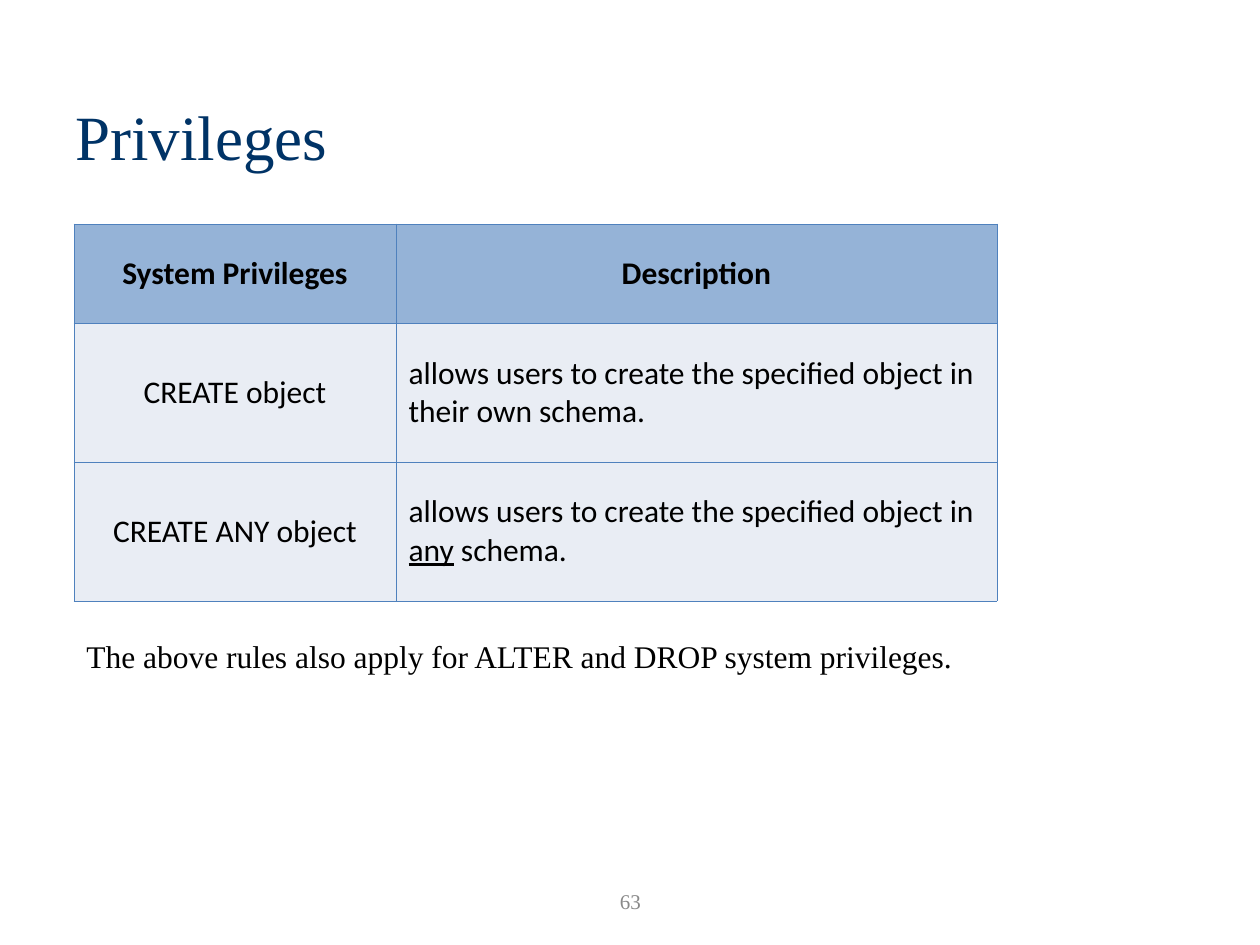
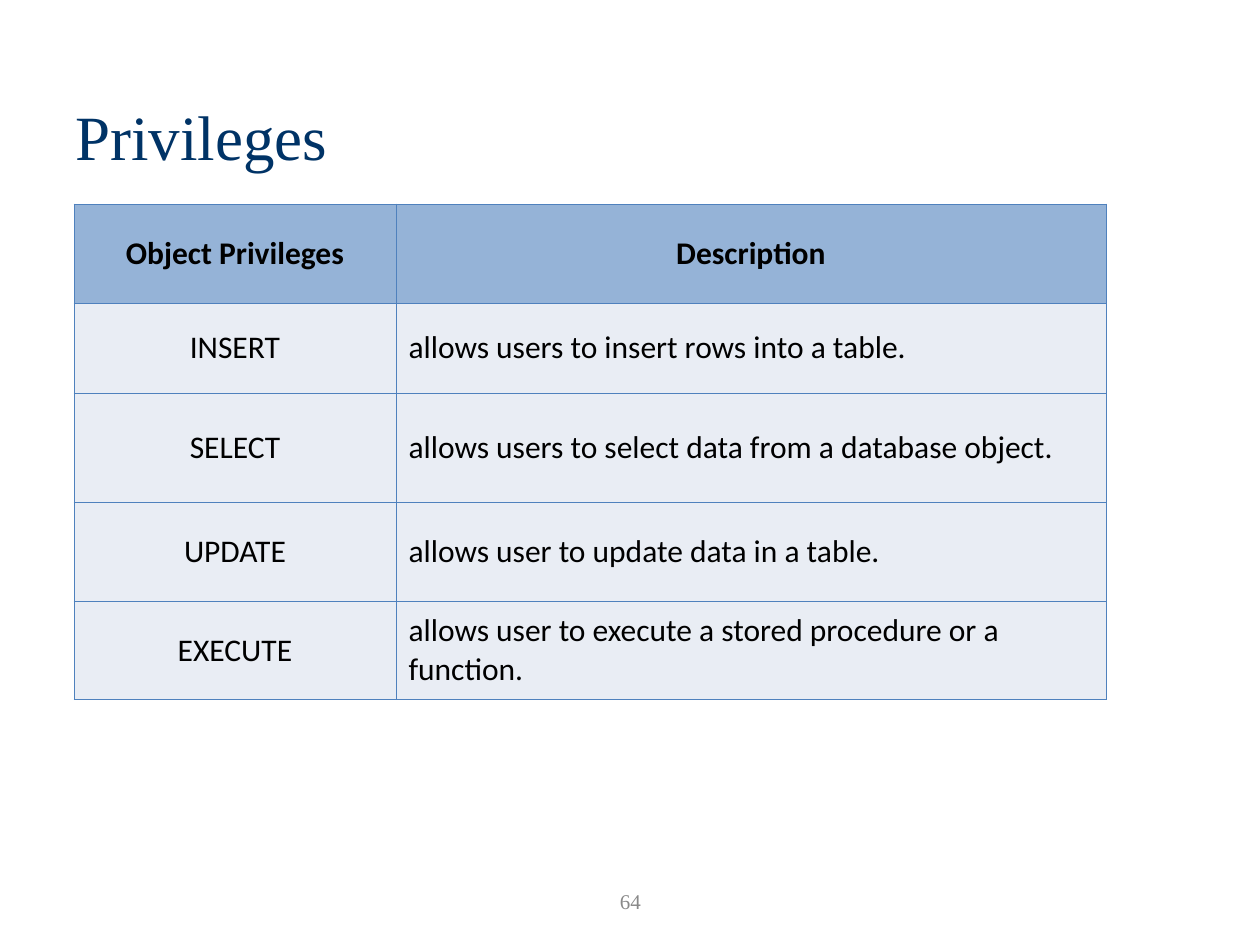
from lxml.etree import SubElement
from pptx import Presentation
from pptx.dml.color import RGBColor
from pptx.enum.text import MSO_ANCHOR, PP_ALIGN
from pptx.oxml.ns import qn
from pptx.util import Pt

PX = 7257  # EMU per px, 126 px to the inch
SERIF, SANS = "Times New Roman", "Calibri"
NAVY, BLACK, GREY = "003366", "000000", "898989"
HEAD, BODY, EDGE = "95B3D7", "E9EDF4", "4F81BD"
LEFT, MID = PP_ALIGN.LEFT, PP_ALIGN.CENTER
hue = RGBColor.from_string


def write(frame, text, size=18, font=SERIF, color=BLACK, bold=False, align=LEFT):
    """Fill a text frame; words between underscores are underlined."""
    para = frame.paragraphs[0]
    para.alignment = align
    for i, part in enumerate(text.split("_")):
        run = para.add_run()
        run.text = part
        run.font.size = Pt(size)
        run.font.name = font
        run.font.bold = bold
        run.font.underline = i % 2 == 1
        run.font.color.rgb = hue(color)


def label(slide, text, area, anchor=MSO_ANCHOR.MIDDLE, **style):
    box = slide.shapes.add_textbox(*(n * PX for n in area))
    box.text_frame.word_wrap = True
    box.text_frame.vertical_anchor = anchor
    write(box.text_frame, text, **style)


# Page number, table top, column widths, row heights, cell texts, note
pages = [
    (63, 224, (322, 601), (99, 139, 139), [
        ("System Privileges", "Description"),
        ("CREATE object",
         "allows users to create the specified object in their own schema."),
        ("CREATE ANY object",
         "allows users to create the specified object in _any_ schema."),
    ], "The above rules also apply for ALTER and DROP system privileges."),
    (64, 204, (322, 710), (99, 90, 109, 99, 99), [
        ("Object Privileges", "Description"),
        ("INSERT", "allows users to insert rows into a table."),
        ("SELECT", "allows users to select data from a database object."),
        ("UPDATE", "allows user to update data in a table."),
        ("EXECUTE", "allows user to execute a stored procedure or a function."),
    ], None),
]

deck = Presentation()
deck.slide_width, deck.slide_height = 1260 * PX, 945 * PX

for number, top, widths, heights, rows, note in pages:
    slide = deck.slides.add_slide(deck.slide_layouts[6])
    label(slide, "Privileges", (63, 57, 1134, 157), size=36, color=NAVY)
    label(slide, str(number), (431, 876, 399, 50), size=12, color=GREY, align=MID)

    area = (74, top, sum(widths), sum(heights))
    table = slide.shapes.add_table(
        len(rows), len(widths), *(n * PX for n in area)).table
    for column, width in zip(table.columns, widths):
        column.width = width * PX
    for row, height in zip(table.rows, heights):
        row.height = height * PX

    for r, texts in enumerate(rows):
        for c, text in enumerate(texts):
            cell = table.cell(r, c)
            cell.vertical_anchor = MSO_ANCHOR.MIDDLE
            props = cell._tc.get_or_add_tcPr()
            for side in ("lnL", "lnR", "lnT", "lnB"):
                line = SubElement(props, qn(f"a:{side}"), w=str(Pt(0.45)))
                fill = SubElement(line, qn("a:solidFill"))
                SubElement(fill, qn("a:srgbClr"), val=EDGE)
            cell.fill.solid()
            cell.fill.fore_color.rgb = hue(BODY if r else HEAD)
            write(cell.text_frame, text, font=SANS, bold=r == 0,
                  align=LEFT if r and c else MID)

    if note:
        label(slide, note, (74, 631, 922, 50), anchor=MSO_ANCHOR.TOP)

deck.save("out.pptx")
